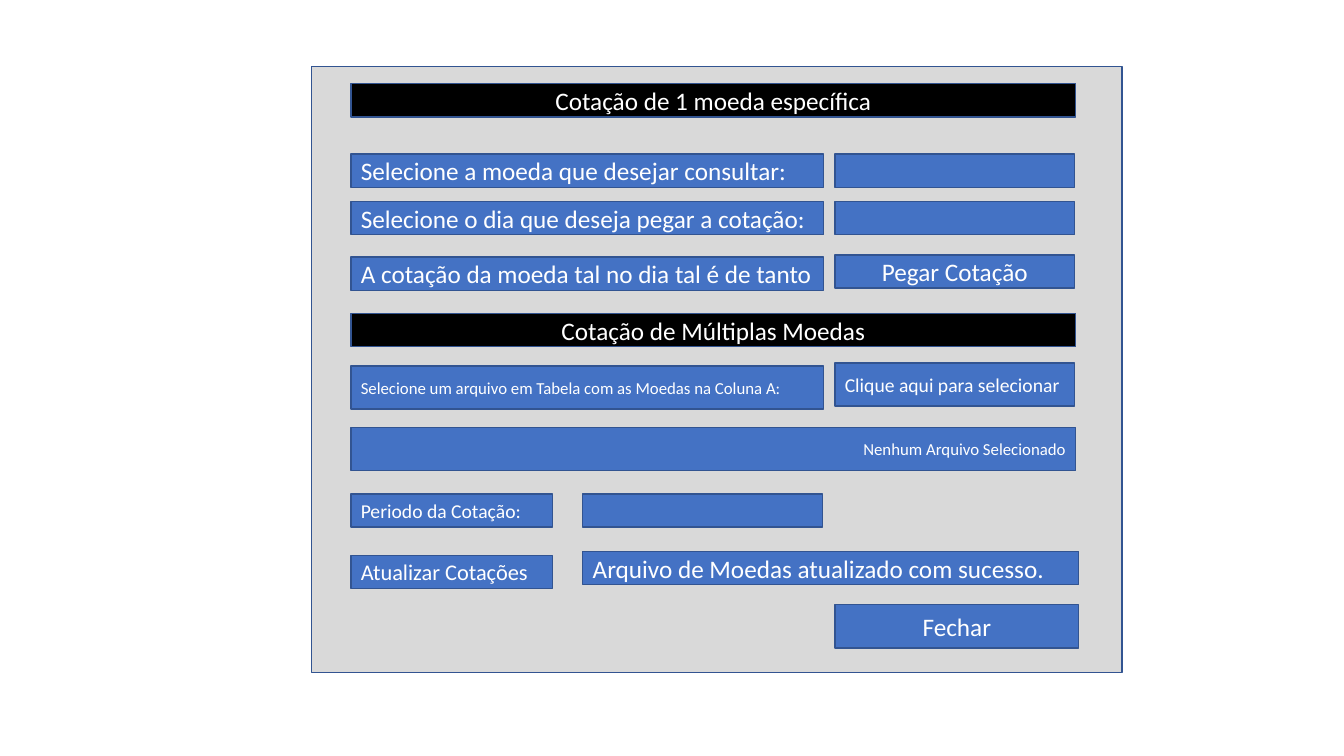
from pptx import Presentation
from pptx.dml.color import RGBColor
from pptx.enum.shapes import MSO_SHAPE as Shape
from pptx.enum.text import MSO_ANCHOR as Anchor, MSO_AUTO_SIZE as AutoSize, PP_ALIGN as Align
from pptx.util import Inches, Pt

COLORS = {"panel": "D9D9D9", "heading": "000000", "field": "4472C4",
          "border": "325491", "text": "FFFFFF"}
FONT = "Calibri"

# Column edges, widths and row heights of the form
LEFT, MIDDLE, RIGHT = 3.48, 5.78, 8.28
FULL, LABEL, BUTTON, INPUT, WIDE = 7.19, 4.69, 2, 2.38, 4.92
LOW, TALL = 0.33, 0.43


def write_text(shape, text, size=18, align=Align.LEFT, color="text"):
    frame = shape.text_frame
    frame.word_wrap = True
    frame.auto_size = AutoSize.NONE
    frame.vertical_anchor = Anchor.MIDDLE
    paragraph = frame.paragraphs[0]
    paragraph.alignment = align
    paragraph.line_spacing = 1
    paragraph.space_before = Pt(0)
    run = paragraph.add_run()
    run.text = text
    run.font.name = FONT
    run.font.size = Pt(size)
    run.font.color.rgb = RGBColor.from_string(COLORS[color])


class FormSlide:
    def __init__(self, presentation):
        self.slide = presentation.slides.add_slide(presentation.slide_layouts[5])

    def paint(self, shape, fill):
        shape.fill.solid()
        shape.fill.fore_color.rgb = RGBColor.from_string(COLORS[fill])
        shape.line.color.rgb = RGBColor.from_string(COLORS["border"])
        shape.line.width = Pt(1)

    def box(self, left, top, width, height, text="", fill="field", **text_format):
        shape = self.slide.shapes.add_shape(
            Shape.RECTANGLE, Inches(left), Inches(top), Inches(width), Inches(height))
        shape.shadow.inherit = False
        self.paint(shape, fill)
        if text:
            write_text(shape, text, **text_format)

    def title(self, left, top, width, height, text):
        title = self.slide.shapes.title
        title.left, title.top = Inches(left), Inches(top)
        title.width, title.height = Inches(width), Inches(height)
        self.paint(title, "heading")
        write_text(title, text, align=Align.CENTER)
        # Bring the title in front of the panel
        tree = title.element.getparent()
        tree.append(title.element)


presentation = Presentation()
presentation.slide_width, presentation.slide_height = Inches(13.33), Inches(7.5)
form = FormSlide(presentation)

# Window panel and section headings
form.box(3.09, 0.66, 8.04, 6.01, fill="panel")
form.title(LEFT, 0.83, FULL, LOW, "Cotação de 1 moeda específica")
form.box(LEFT, 3.11, FULL, LOW, "Cotação de Múltiplas Moedas",
         fill="heading", align=Align.CENTER)

# Single currency: labels with inputs, then result and button
for top, label in ((1.53, "Selecione a moeda que desejar consultar:"),
                   (2, "Selecione o dia que deseja pegar a cotação:")):
    form.box(LEFT, top, LABEL, LOW, label)
    form.box(RIGHT, top, INPUT, LOW)
form.box(LEFT, 2.55, LABEL, LOW, "A cotação da moeda tal no dia tal é de tanto")
form.box(RIGHT, 2.53, INPUT, LOW, "Pegar Cotação", align=Align.CENTER)

# Multiple currencies: file selection
form.box(LEFT, 3.63, LABEL, TALL,
         "Selecione um arquivo em Tabela com as Moedas na Coluna A:", size=12)
form.box(RIGHT, 3.6, INPUT, TALL, "Clique aqui para selecionar", size=14)
form.box(LEFT, 4.24, FULL, TALL, "Nenhum Arquivo Selecionado",
         size=12, align=Align.RIGHT)

# Period, update and close
form.box(LEFT, 4.9, BUTTON, LOW, "Periodo da Cotação:", size=14)
form.box(MIDDLE, 4.9, INPUT, LOW)
form.box(LEFT, 5.51, BUTTON, LOW, "Atualizar Cotações", size=16)
form.box(MIDDLE, 5.47, WIDE, LOW, "Arquivo de Moedas atualizado com sucesso.")
form.box(RIGHT, 6, MIDDLE + WIDE - RIGHT, TALL, "Fechar", align=Align.CENTER)

presentation.save("out.pptx")
